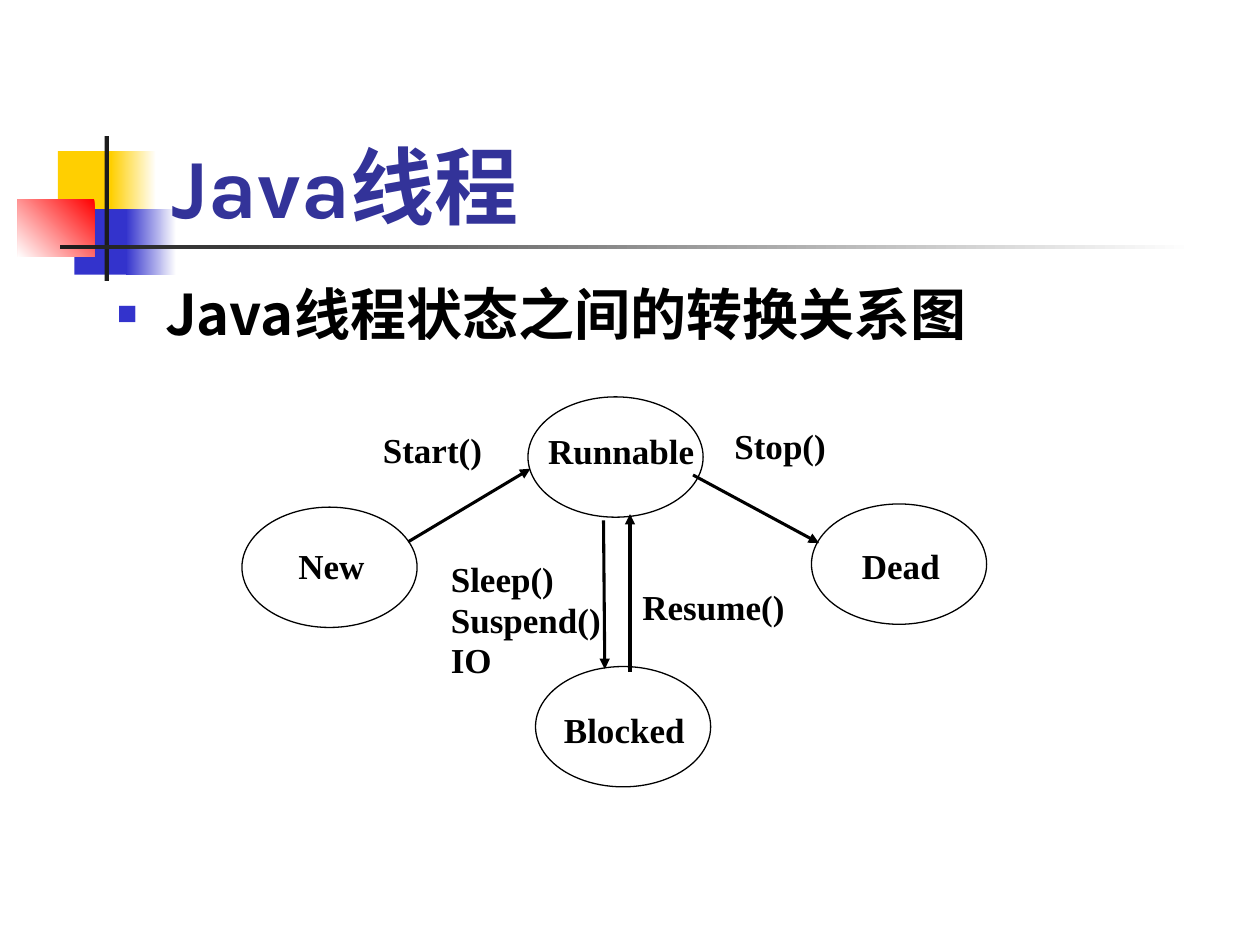
from lxml import etree
from pptx import Presentation
from pptx import util as u
from pptx.dml.color import RGBColor
from pptx.enum import shapes, text
from pptx.oxml.ns import qn

# The slide is a grid of 100 columns by 75 rows
WIDTH, HEIGHT = u.Inches(10), u.Inches(7.5)
COLUMN, ROW = WIDTH / 100, HEIGHT / 75

BLACK, WHITE, BLUE, YELLOW = "000000", "FFFFFF", "3333CC", "FFCF01"
RED, CHARCOAL, INDIGO = "FF0000", "1C1C1C", "333399"
LATIN, TITLE_FONT, CHINESE = "Times New Roman", "Karla", "Noto Sans CJK SC"
STATE_SIZE = (13.9, 9.55)
WIDE_INSETS, TIGHT_INSETS = (0.1, 0.05), (0.02, 0.01)


def rgb(value):
    return RGBColor.from_string(value)


def grid(left, top, *size):
    """Turn columns and rows into lengths."""
    units = (COLUMN, ROW, COLUMN, ROW)
    return [u.Emu(round(n * unit)) for n, unit in zip((left, top, *size), units)]


def style_font(para, size, face, color):
    for span in para.runs:
        span.font.size, span.font.bold = u.Pt(size), True
        span.font.name = face
        span.font.color.rgb = rgb(color)
        east = etree.SubElement(span.font._element, qn("a:ea"))
        east.set("typeface", CHINESE)


def set_insets(frame, insets):
    frame.margin_left = frame.margin_right = u.Inches(insets[0])
    frame.margin_top = frame.margin_bottom = u.Inches(insets[1])


def add_block(page, area, start, end=None, angle=180):
    """Draw a borderless rectangle, plain or fading from start to end."""
    block = page.shapes.add_shape(shapes.MSO_SHAPE.RECTANGLE, *grid(*area))
    block.shadow.inherit = False
    block.line.fill.background()
    if end is None:
        block.fill.solid()
        block.fill.fore_color.rgb = rgb(start)
        return
    block.fill.gradient()
    block.fill.gradient_angle = angle
    for stop, color, position in zip(block.fill.gradient_stops, (start, end), (0, 1)):
        stop.color.rgb = rgb(color)
        stop.position = position


def add_state(page, left, top):
    oval = page.shapes.add_shape(shapes.MSO_SHAPE.OVAL, *grid(left, top, *STATE_SIZE))
    oval.shadow.inherit = False
    oval.fill.solid()
    oval.fill.fore_color.rgb = rgb(WHITE)
    oval.line.color.rgb = rgb(BLACK)
    oval.line.width = u.Pt(0.75)


def add_label(page, area, words, insets, align, spacing=1.0):
    box = page.shapes.add_textbox(*grid(*area))
    frame = box.text_frame
    frame.word_wrap = True
    set_insets(frame, insets)
    frame.text = words
    for para in frame.paragraphs:
        para.alignment = align
        para.line_spacing = spacing
        style_font(para, 20, LATIN, BLACK)


def add_arrow(page, start, end):
    arrow = page.shapes.add_connector(
        shapes.MSO_CONNECTOR.STRAIGHT, *grid(*start), *grid(*end))
    arrow.line.color.rgb = rgb(BLACK)
    arrow.line.width = u.Pt(1.75)
    etree.SubElement(arrow.line._get_or_add_ln(), qn("a:tailEnd"), type="triangle")
    etree.SubElement(arrow._element.spPr, qn("a:effectLst"))


def fill_placeholder(page, holder, area, words, size, face, color, anchor):
    """Move a placeholder, write its text and lift it above the blocks."""
    page.shapes._spTree.append(holder._element)
    holder.left, holder.top, holder.width, holder.height = grid(*area)
    frame = holder.text_frame
    frame.text = words
    frame.word_wrap = True
    frame.auto_size = text.MSO_AUTO_SIZE.NONE
    frame.vertical_anchor = anchor
    set_insets(frame, WIDE_INSETS)
    para = frame.paragraphs[0]
    para.alignment = text.PP_ALIGN.LEFT
    para.space_before = u.Pt(0)
    style_font(para, size, face, color)
    return para


def add_bullet(para):
    props = para._element.get_or_add_pPr()
    props.set("marL", str(u.Inches(0.38)))
    props.set("indent", str(u.Inches(-0.38)))
    color = etree.SubElement(props, qn("a:buClr"))
    etree.SubElement(color, qn("a:srgbClr"), val=BLUE)
    etree.SubElement(props, qn("a:buSzPct"), val="60000")
    etree.SubElement(props, qn("a:buChar"), char="■")


def add_decoration(page):
    add_block(page, (4.6, 12, 4.8, 5.2), YELLOW)
    add_block(page, (8.8, 12, 3.6, 5.2), WHITE, YELLOW)
    add_block(page, (5.9, 16.6, 4.6, 5.2), BLUE)
    add_block(page, (10, 16.6, 4, 5.2), WHITE, BLUE)
    add_block(page, (1.4, 15.8, 6.1, 4.6), RED, WHITE, angle=225)
    add_block(page, (8.3, 10.8, 0.35, 11.5), CHARCOAL)
    add_block(page, (4.8, 19.45, 90, 0.35), WHITE, CHARCOAL)


def add_diagram(page):
    justify, center = text.PP_ALIGN.JUSTIFY, text.PP_ALIGN.CENTER

    # States: oval corner, name, name area, alignment
    states = [
        ((41.9, 31.5), "Runnable", (43.3, 34, 12.5, 4.3), justify),
        ((42.5, 52.9), "Blocked", (44.2, 56.1, 10.7, 4.8), center),
        ((64.4, 40), "Dead", (67.1, 43.1, 8.8, 6.1), center),
        ((19.2, 40.25), "New", (21.9, 43.1, 8.8, 6.1), center),
    ]
    for corner, name, area, align in states:
        add_state(page, *corner)
        add_label(page, area, name, TIGHT_INSETS, align)

    # Method calls that change the state
    calls = [
        ((34.8, 44, 14.3, 11.6), "Sleep()\nSuspend()\nIO", 0.96),
        ((29.4, 33.5, 10, 4.8), "Start()", 1.0),
        ((57.3, 33.2, 10, 5.1), "Stop()", 1.0),
        ((50, 46.2, 13.8, 7.1), "Resume()", 0.96),
    ]
    for area, words, spacing in calls:
        add_label(page, area, words, WIDE_INSETS, justify, spacing)

    # Transitions
    for start, end in [
        ((32.4, 43), (42.1, 37.2)),
        ((55, 37.7), (65, 43.1)),
        ((47.9, 41.3), (48, 53.1)),
        ((50, 53.3), (50, 40.8)),
    ]:
        add_arrow(page, start, end)


def main():
    deck = Presentation()
    deck.slide_width, deck.slide_height = WIDTH, HEIGHT
    page = deck.slides.add_slide(deck.slide_layouts[1])
    add_decoration(page)
    fill_placeholder(page, page.shapes.title, (12.6, 6.7, 85.2, 12.5), "Java线程",
                     48, TITLE_FONT, INDIGO, text.MSO_ANCHOR.BOTTOM)
    heading = fill_placeholder(page, page.placeholders[1], (8.3, 21.7, 85, 45),
                               "Java线程状态之间的转换关系图",
                               32, CHINESE, BLACK, text.MSO_ANCHOR.TOP)
    add_bullet(heading)
    add_diagram(page)
    deck.save("out.pptx")


if __name__ == "__main__":
    main()
